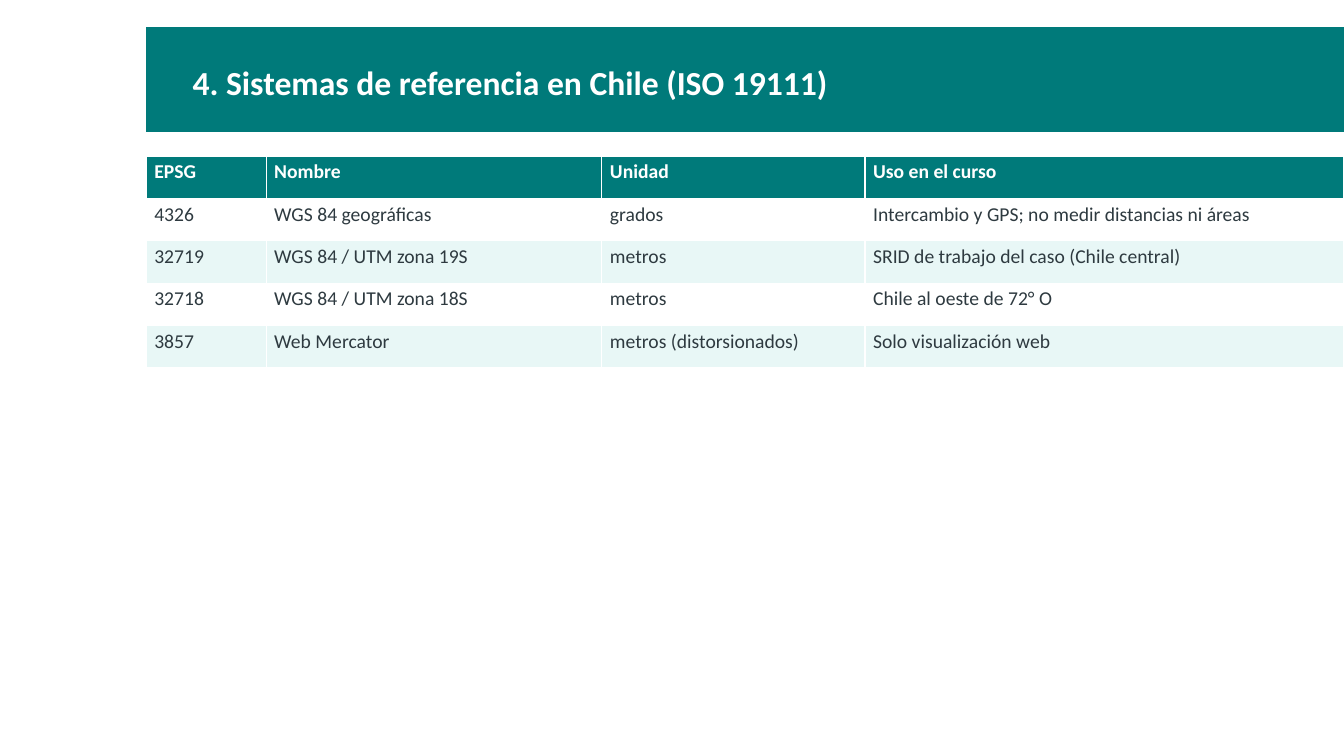
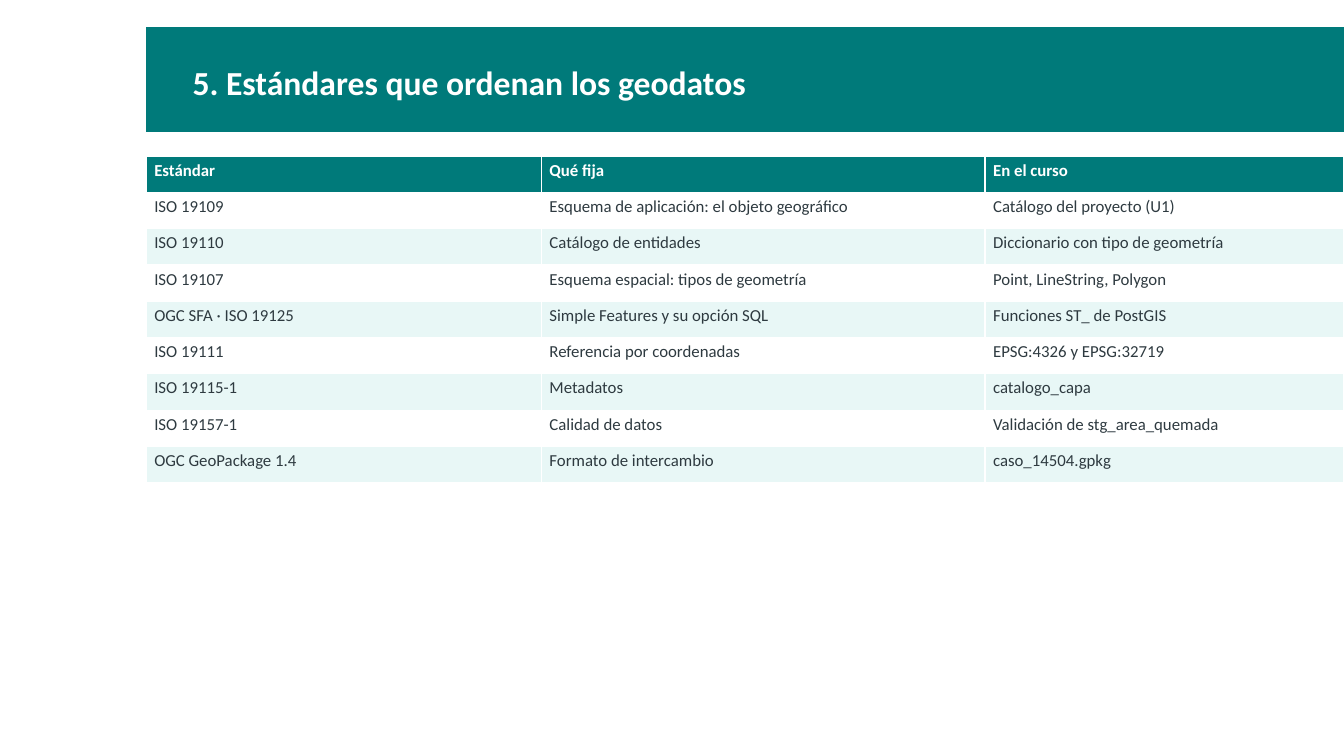
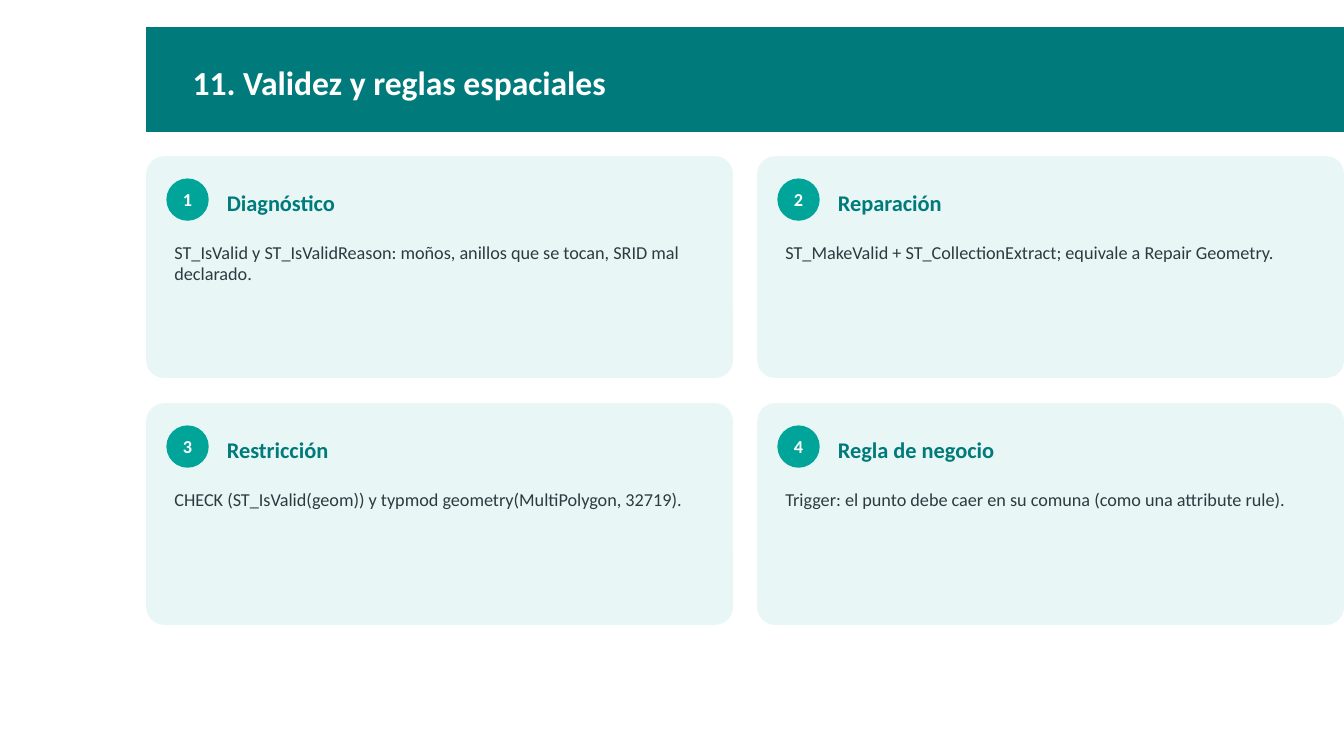
from pptx import Presentation
from pptx.dml.color import RGBColor
from pptx.enum.shapes import MSO_SHAPE
from pptx.enum.text import MSO_ANCHOR, PP_ALIGN
from pptx.util import Inches, Pt

COLORS = {
    "teal": "007A7A",
    "accent": "00A499",
    "pale": "E8F7F6",
    "ink": "2E3A40",
    "white": "FFFFFF",
}
FONT = "Calibri"
SLIDE_WIDTH = 13.33
LEFT = 1.45
CONTENT_TOP = 1.55
CONTENT_WIDTH = SLIDE_WIDTH - LEFT

TABLES = [
    {
        "title": "4. Sistemas de referencia en Chile (ISO 19111)",
        "size": 14,
        "row_height": 0.42,
        "widths": [1.19, 3.33, 2.61, 4.75],
        "rows": [
            ["EPSG", "Nombre", "Unidad", "Uso en el curso"],
            ["4326", "WGS 84 geográficas", "grados",
             "Intercambio y GPS; no medir distancias ni áreas"],
            ["32719", "WGS 84 / UTM zona 19S", "metros",
             "SRID de trabajo del caso (Chile central)"],
            ["32718", "WGS 84 / UTM zona 18S", "metros", "Chile al oeste de 72° O"],
            ["3857", "Web Mercator", "metros (distorsionados)", "Solo visualización web"],
        ],
    },
    {
        "title": "5. Estándares que ordenan los geodatos",
        "size": 12,
        "row_height": 0.36,
        "widths": [3.92, 4.4, 3.56],
        "rows": [
            ["Estándar", "Qué fija", "En el curso"],
            ["ISO 19109", "Esquema de aplicación: el objeto geográfico",
             "Catálogo del proyecto (U1)"],
            ["ISO 19110", "Catálogo de entidades", "Diccionario con tipo de geometría"],
            ["ISO 19107", "Esquema espacial: tipos de geometría",
             "Point, LineString, Polygon"],
            ["OGC SFA · ISO 19125", "Simple Features y su opción SQL",
             "Funciones ST_ de PostGIS"],
            ["ISO 19111", "Referencia por coordenadas", "EPSG:4326 y EPSG:32719"],
            ["ISO 19115-1", "Metadatos", "catalogo_capa"],
            ["ISO 19157-1", "Calidad de datos", "Validación de stg_area_quemada"],
            ["OGC GeoPackage 1.4", "Formato de intercambio", "caso_14504.gpkg"],
        ],
    },
]

CARDS_TITLE = "11. Validez y reglas espaciales"
CARDS = [
    ("Diagnóstico",
     "ST_IsValid y ST_IsValidReason: moños, anillos que se tocan, SRID mal declarado."),
    ("Reparación", "ST_MakeValid + ST_CollectionExtract; equivale a Repair Geometry."),
    ("Restricción", "CHECK (ST_IsValid(geom)) y typmod geometry(MultiPolygon, 32719)."),
    ("Regla de negocio",
     "Trigger: el punto debe caer en su comuna (como una attribute rule)."),
]
CARD_WIDTH, CARD_HEIGHT = 5.82, 2.2
CARD_GAP_X = CONTENT_WIDTH - 2 * CARD_WIDTH
CARD_GAP_Y = 0.25


def add_filled_shape(slide, preset, left, top, width, height, color):
    shape = slide.shapes.add_shape(
        preset, Inches(left), Inches(top), Inches(width), Inches(height))
    shape.shadow.inherit = False
    shape.fill.solid()
    shape.fill.fore_color.rgb = RGBColor.from_string(COLORS[color])
    shape.line.fill.background()
    return shape


def write_text(holder, text, size, color, bold=False, anchor=MSO_ANCHOR.MIDDLE,
               margins=(0.08, 0.04), space_after=6):
    """Fill a shape or a table cell with one styled paragraph and return it."""
    holder.text_frame.word_wrap = True
    # Cells keep their margins and anchor themselves, shapes in the text frame.
    box = holder if hasattr(holder, "margin_left") else holder.text_frame
    box.margin_left = box.margin_right = Inches(margins[0])
    box.margin_top = box.margin_bottom = Inches(margins[1])
    box.vertical_anchor = anchor
    paragraph = holder.text_frame.paragraphs[0]
    paragraph.text = text
    paragraph.space_after = Pt(space_after)
    paragraph.font.name = FONT
    paragraph.font.size = Pt(size)
    paragraph.font.bold = bold
    paragraph.font.color.rgb = RGBColor.from_string(COLORS[color])
    return paragraph


presentation = Presentation()
presentation.slide_width = Inches(SLIDE_WIDTH)
presentation.slide_height = Inches(7.5)

# Title band on every slide
slides = []
for title in [content["title"] for content in TABLES] + [CARDS_TITLE]:
    slide = presentation.slides.add_slide(presentation.slide_layouts[6])
    add_filled_shape(slide, MSO_SHAPE.RECTANGLE, LEFT, 0.27, CONTENT_WIDTH, 1.04, "teal")
    title_box = slide.shapes.add_textbox(
        Inches(1.83), Inches(0.38), Inches(10.9), Inches(0.87))
    write_text(title_box, title, 24, "white", bold=True)
    slides.append(slide)

# Table slides
for slide, content in zip(slides, TABLES):
    rows, widths = content["rows"], content["widths"]
    table = slide.shapes.add_table(
        len(rows), len(widths), Inches(LEFT), Inches(CONTENT_TOP),
        Inches(CONTENT_WIDTH), Inches(content["row_height"] * len(rows))).table
    for column, width in zip(table.columns, widths):
        column.width = Inches(width)
    for row_index, row in enumerate(rows):
        is_header = row_index == 0
        fill = "teal" if is_header else "white" if row_index % 2 else "pale"
        for column_index, text in enumerate(row):
            cell = table.cell(row_index, column_index)
            cell.fill.solid()
            cell.fill.fore_color.rgb = RGBColor.from_string(COLORS[fill])
            write_text(cell, text, content["size"], "white" if is_header else "ink",
                       bold=is_header, anchor=MSO_ANCHOR.TOP, space_after=0)

# Card slide
slide = slides[-1]
for index, (heading, body) in enumerate(CARDS):
    row, column = divmod(index, 2)
    left = LEFT + column * (CARD_WIDTH + CARD_GAP_X)
    top = CONTENT_TOP + row * (CARD_HEIGHT + CARD_GAP_Y)
    card = add_filled_shape(slide, MSO_SHAPE.ROUNDED_RECTANGLE, left, top,
                            CARD_WIDTH, CARD_HEIGHT, "pale")
    card.adjustments[0] = 0.08

    badge = add_filled_shape(slide, MSO_SHAPE.OVAL, left + 0.2, top + 0.22,
                             0.42, 0.42, "accent")
    number = write_text(badge, str(index + 1), 13, "white", bold=True,
                        margins=(0, 0))
    number.alignment = PP_ALIGN.CENTER

    heading_box = slide.shapes.add_textbox(
        Inches(left + 0.72), Inches(top + 0.18), Inches(4.92), Inches(0.55))
    write_text(heading_box, heading, 16, "teal", bold=True)

    body_box = slide.shapes.add_textbox(
        Inches(left + 0.2), Inches(top + 0.8), Inches(5.42), Inches(1.3))
    write_text(body_box, body, 13, "ink", anchor=MSO_ANCHOR.TOP)

presentation.save("out.pptx")
